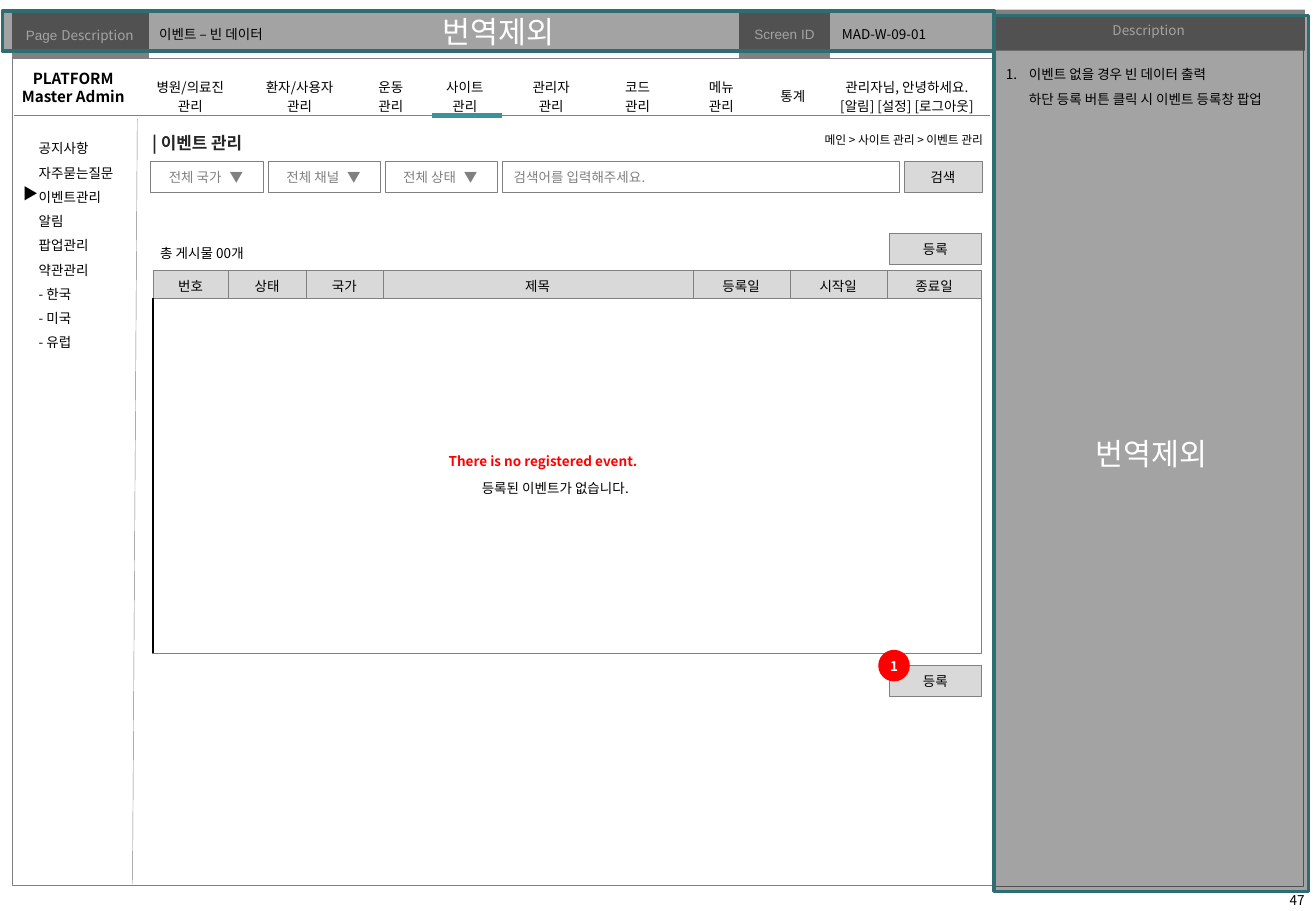
from copy import deepcopy

from lxml.etree import SubElement
from pptx import Presentation
from pptx.dml.color import RGBColor
from pptx.enum.shapes import MSO_CONNECTOR as Connector, MSO_SHAPE as Shape
from pptx.enum.text import MSO_ANCHOR as Anchor, PP_ALIGN as Align
from pptx.oxml.ns import qn
from pptx.util import Cm, Pt

BLACK = RGBColor(0x00, 0x00, 0x00)
WHITE = RGBColor(0xFF, 0xFF, 0xFF)
GRAY = RGBColor(0x80, 0x80, 0x80)
LIGHT_GRAY = RGBColor(0xD9, 0xD9, 0xD9)
DARK_GRAY = RGBColor(0x26, 0x26, 0x26)
RED = RGBColor(0xFF, 0x00, 0x00)
TEAL = RGBColor(0x3B, 0x93, 0x99)
DARK_TEAL = RGBColor(0x2F, 0x6D, 0x72)
KOREAN = "Noto Sans CJK KR"
LATIN = "Arial"
PLAIN_TABLE = "{2D5ABB26-0587-4C30-8999-92F81FD0307C}"
DEFAULT_INSETS = (0.25, 0.13, 0.25, 0.13)
NO_INSETS = (0, 0, 0, 0)
SMALL_INSETS = (0.13, 0.13, 0.13, 0.13)


def format_run(run, size=8, color=BLACK, bold=False, font=KOREAN):
    run.font.size = Pt(size)
    run.font.bold = bold
    run.font.color.rgb = color
    run.font.name = font
    SubElement(run.font._element, qn("a:ea"), typeface=font)


def write_text(frame, text, align=Align.LEFT, spacing=None, indent=None,
               numbered=False, tab=None, **run_format):
    for index, line in enumerate(text.split("\n")):
        paragraph = frame.add_paragraph() if index else frame.paragraphs[0]
        paragraph.text = line
        paragraph.alignment = align
        if spacing:
            paragraph.line_spacing = spacing
        properties = paragraph._p.get_or_add_pPr()
        if indent:
            properties.set("marL", str(Cm(indent)))
            properties.set("indent", str(-Cm(indent) if numbered else 0))
        if numbered:
            SubElement(properties, qn("a:buAutoNum"), type="arabicPeriod")
        if tab:
            tabs = SubElement(properties, qn("a:tabLst"))
            SubElement(tabs, qn("a:tab"), pos=str(Cm(tab)), algn="l")
        for run in paragraph.runs:
            format_run(run, **run_format)
        for line_break in paragraph._p.findall(qn("a:br")):
            line_break.insert(0, deepcopy(paragraph.runs[0].font._element))


def set_insets(target, insets):
    (target.margin_left, target.margin_top,
     target.margin_right, target.margin_bottom) = map(Cm, insets)


class Screen:
    def __init__(self, slide, line_width=0.25):
        self.slide = slide
        self.line_width = line_width

    def text_box(self, place, text, anchor=Anchor.TOP, wrap=True,
                 insets=DEFAULT_INSETS, **text_format):
        frame = self.slide.shapes.add_textbox(*map(Cm, place)).text_frame
        frame.word_wrap = wrap
        frame.vertical_anchor = anchor
        set_insets(frame, insets)
        write_text(frame, text, **text_format)

    def box(self, place, text="", kind=Shape.RECTANGLE, fill=None, opacity=None,
            line=GRAY, width=None, align=Align.CENTER, **text_format):
        shape = self.slide.shapes.add_shape(kind, *map(Cm, place))
        shape.shadow.inherit = False
        if fill is None:
            shape.fill.background()
        else:
            shape.fill.solid()
            shape.fill.fore_color.rgb = fill
        if opacity:
            color = shape._element.spPr.find(qn("a:solidFill"))[0]
            SubElement(color, qn("a:alpha"), val=str(opacity * 1000))
        if line is None:
            shape.line.fill.background()
        else:
            shape.line.color.rgb = line
            shape.line.width = Pt(width or self.line_width)
        if text:
            shape.text_frame.vertical_anchor = Anchor.MIDDLE
            set_insets(shape.text_frame, NO_INSETS)
            write_text(shape.text_frame, text, align=align, **text_format)

    def line(self, points, color=GRAY, width=None):
        connector = self.slide.shapes.add_connector(
            Connector.STRAIGHT, *map(Cm, points))
        connector.line.color.rgb = color
        connector.line.width = Pt(width or self.line_width)
        SubElement(connector._element.spPr, qn("a:effectLst"))

    def table(self, left, top, columns, rows):
        frame = self.slide.shapes.add_table(
            len(rows), len(columns), Cm(left), Cm(top), Cm(sum(columns)), Cm(sum(rows)))
        table = frame.table
        table._tbl.tblPr.find(qn("a:tableStyleId")).text = PLAIN_TABLE
        table.first_row = table.horz_banding = False
        for column, width in zip(table.columns, columns):
            column.width = Cm(width)
        for row, height in zip(table.rows, rows):
            row.height = Cm(height)
        return table

    def cell(self, cell, text="", fill=None, insets=DEFAULT_INSETS,
             anchor=Anchor.MIDDLE, borders=None, **text_format):
        cell.vertical_anchor = anchor
        set_insets(cell, insets)
        write_text(cell.text_frame, text, align=Align.CENTER, **text_format)
        properties = cell._tc.get_or_add_tcPr()
        for side, (color, width) in (borders or {}).items():
            border = SubElement(properties, qn(f"a:ln{side}"), w=str(Pt(width)))
            solid = SubElement(border, qn("a:solidFill"))
            SubElement(solid, qn("a:srgbClr"), val=str(color))
        if fill is None:
            cell.fill.background()
        else:
            cell.fill.solid()
            cell.fill.fore_color.rgb = fill


def draw_frame(screen, borders):
    header = screen.table(0.25, 0.23, [2.84, 12.37, 1.88, 3.43], [0.81])
    labels = [("Page ", GRAY), ("", WHITE), ("Screen ID", GRAY), ("", WHITE)]
    for cell, (label, fill) in zip(header.rows[0].cells, labels):
        screen.cell(cell, label, fill, (0.1, 0.1, 0.1, 0.1), borders=borders,
                    color=WHITE, font=LATIN)
    description = header.cell(0, 0).text_frame.paragraphs[0].add_run()
    description.text = "Description"
    format_run(description, color=WHITE)

    screen.box((0.25, 1.22, 20.5, 17.3))
    screen.box((20.75, 0.99, 6.5, 17.55))
    screen.box((20.75, 0.2, 6.53, 0.86), "Description", fill=GRAY, line=None, color=WHITE)
    screen.text_box((26.67, 18.52, 0.89, 0.51), "47", align=Align.CENTER, wrap=False)
    for place in [(20.78, 0.33, 6.58, 18.31), (0.05, 0.23, 20.73, 0.84)]:
        screen.box(place, "번역제외", fill=BLACK, opacity=36, line=DARK_TEAL, width=2,
                   size=18, color=WHITE)


def draw_navigation(screen):
    screen.line((2.87, 2.49, 2.77, 18.49))
    screen.text_box((0.56, 2.64, 2.24, 4.88),
                    "공지사항\n자주묻는질문\n이벤트관리\n알림\n팝업관리\n약관관리\n"
                    "- 한국\n- 미국\n- 유럽", spacing=1.5)
    screen.line((0.3, 2.41, 20.7, 2.41))
    menu = screen.table(2.9, 1.37, [2.16, 2.41, 1.4, 1.7, 1.91, 1.7, 1.8, 1.19, 3.58], [1.04])
    items = ["병원/의료진\n관리", "환자/사용자\n관리", "운동\n관리", "사이트\n관리",
             "관리자\n관리", "코드\n관리", "메뉴\n관리", "통계",
             "관리자님, 안녕하세요.\n[알림] [설정] [로그아웃]"]
    for cell, item in zip(menu.rows[0].cells, items):
        screen.cell(cell, item)
    screen.line((9.04, 2.41, 10.49, 2.41), TEAL, 3)
    screen.text_box((0.03, 1.32, 3, 1.02), "PLATFORM\nMaster Admin",
                    align=Align.CENTER, size=9, bold=True)


def draw_descriptions(screen):
    screen.text_box((3.23, 0.33, 12.73, 0.76), "이벤트 – 빈 데이터", Anchor.MIDDLE,
                    insets=(0.1, 0.13, 0.1, 0.13))
    screen.text_box((17.35, 0.33, 3.3, 0.76), "MAD-W-09-01", Anchor.MIDDLE)
    screen.text_box((20.78, 1.09, 6.48, 17.53),
                    "이벤트 없을 경우 빈 데이터 출력\v하단 등록 버튼 클릭 시 이벤트 등록창 팝업",
                    spacing=1.5, indent=0.48, numbered=True)


def draw_events(screen, borders):
    events = screen.table(3.2, 5.64, [1.57, 1.63, 1.6, 6.48, 2.03, 2.03, 1.98], [0.56, 7.42])
    headings = ["번호", "상태", "국가", "제목", "등록일", "시작일", "종료일"]
    for cell, heading in zip(events.rows[0].cells, headings):
        screen.cell(cell, heading, LIGHT_GRAY, SMALL_INSETS, Anchor.TOP, borders)
    events.cell(1, 0).merge(events.cell(1, len(headings) - 1))
    for cell in events.rows[1].cells:
        screen.cell(cell, borders=borders | {"L": (BLACK, 1)})

    screen.text_box((9.78, 9.91, 3.66, 0.61), "등록된 이벤트가 없습니다.",
                    insets=SMALL_INSETS, align=Align.CENTER)
    screen.text_box((3.05, 2.64, 2.39, 0.69), "| 이벤트 관리", insets=SMALL_INSETS,
                    wrap=False, size=10, color=DARK_GRAY, bold=True)
    screen.text_box((16.54, 2.64, 4.14, 0.56), "메인 > 사이트 관리 > 이벤트 관리",
                    insets=SMALL_INSETS, align=Align.RIGHT, size=7)
    screen.text_box((0.23, 3.73, 0.84, 0.64), "▶", wrap=False, size=9)
    screen.text_box((3.1, 5, 2.46, 0.61), "총 게시물 00개", wrap=False)

    screen.box((10.49, 3.38, 8.31, 0.64), "검색어를 입력해주세요.", align=Align.LEFT,
               indent=0.25, color=GRAY)
    for left, name in [(3.15, "전체 국가"), (5.61, "전체 채널"), (8.05, "전체 상태")]:
        screen.box((left, 3.38, 2.35, 0.64), f"{name}\t▼", fill=WHITE, align=Align.LEFT,
                   indent=0.38, tab=1.8, color=GRAY)
    for place, label in [((18.9, 3.38, 1.63, 0.64), "검색"),
                         ((18.59, 4.88, 1.93, 0.64), "등록"),
                         ((18.59, 13.92, 1.93, 0.64), "등록")]:
        screen.box(place, label, fill=LIGHT_GRAY)
    screen.box((18.36, 13.59, 0.66, 0.66), "1", Shape.OVAL, RED, line=None,
               color=WHITE, bold=True)
    screen.text_box((8.46, 9.47, 5.79, 0.33), "There is no registered event.",
                    insets=NO_INSETS, align=Align.CENTER, color=RED, bold=True)


def main():
    presentation = Presentation()
    presentation.slide_width = Cm(27.51)
    presentation.slide_height = Cm(19.05)
    screen = Screen(presentation.slides.add_slide(presentation.slide_layouts[6]))
    borders = {side: (GRAY, 0.25) for side in "LRTB"}
    draw_frame(screen, borders)
    draw_navigation(screen)
    draw_descriptions(screen)
    draw_events(screen, borders)
    presentation.save("out.pptx")


if __name__ == "__main__":
    main()
